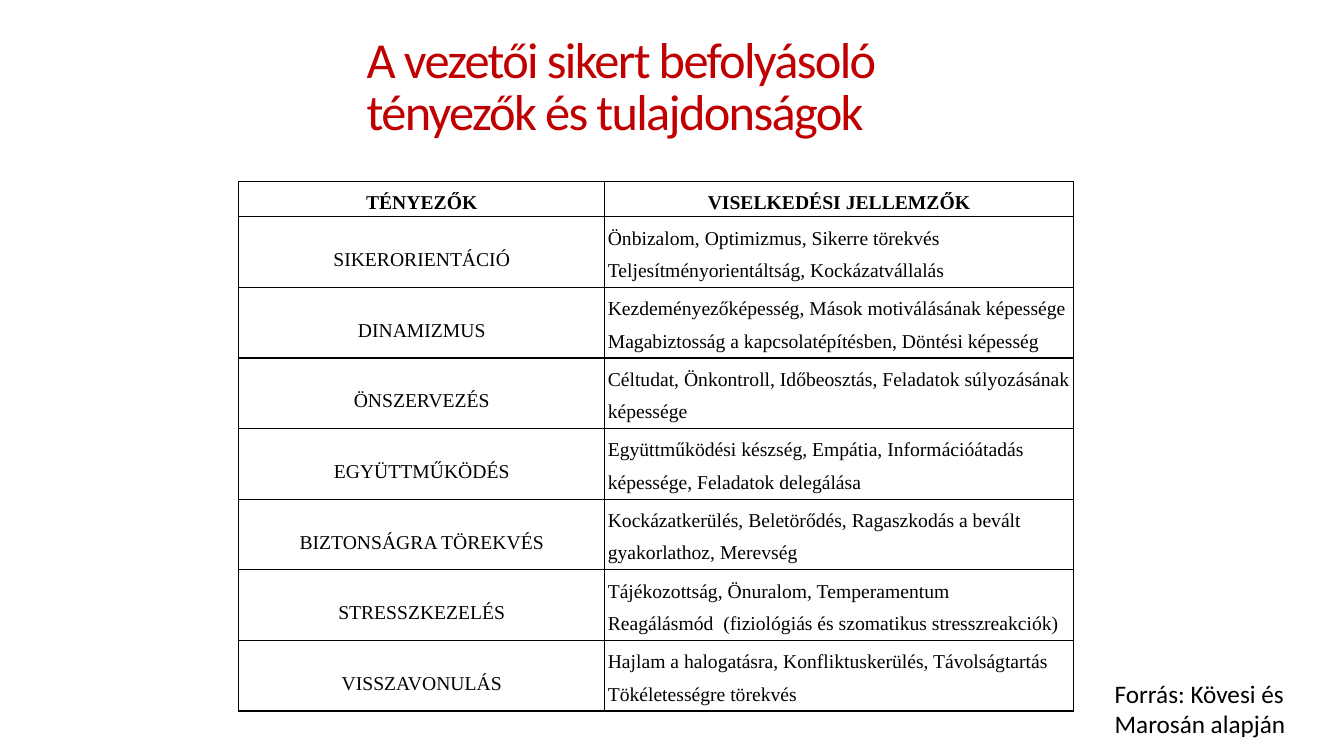
from lxml.etree import SubElement
from pptx import Presentation
from pptx.dml.color import RGBColor
from pptx.enum.text import MSO_ANCHOR as Anchor, PP_ALIGN as Align
from pptx.oxml.ns import qn
from pptx.util import Pt

# Content
TITLE = "A vezetői sikert befolyásoló tényezők és tulajdonságok"
SOURCE = "Forrás: Kövesi és Marosán alapján"
HEADERS = ("TÉNYEZŐK", "VISELKEDÉSI JELLEMZŐK")
FACTORS = [
    ("SIKERORIENTÁCIÓ", ["Önbizalom, Optimizmus, Sikerre törekvés",
                         "Teljesítményorientáltság, Kockázatvállalás"]),
    ("DINAMIZMUS", ["Kezdeményezőképesség, Mások motiválásának képessége",
                    "Magabiztosság a kapcsolatépítésben, Döntési képesség"]),
    ("ÖNSZERVEZÉS", ["Céltudat, Önkontroll, Időbeosztás, Feladatok súlyozásának képessége"]),
    ("EGYÜTTMŰKÖDÉS", ["Együttműködési készség, Empátia, Információátadás képessége, "
                       "Feladatok delegálása"]),
    ("BIZTONSÁGRA TÖREKVÉS", ["Kockázatkerülés, Beletörődés, Ragaszkodás a bevált "
                              "gyakorlathoz, Merevség"]),
    ("STRESSZKEZELÉS", ["Tájékozottság, Önuralom, Temperamentum",
                        "Reagálásmód  (fiziológiás és szomatikus stresszreakciók)"]),
    ("VISSZAVONULÁS", ["Hajlam a halogatásra, Konfliktuskerülés, Távolságtartás",
                       "Tökéletességre törekvés"]),
]

# Layout in points
TITLE_BOX = (254.9, 7.9, 501.8, 111.6)
SOURCE_BOX = (789.1, 481, 138.2, 51.1)
TABLE_LEFT, TABLE_TOP = 170.6, 129.6
COLUMN_WIDTHS = (261.4, 334.8)
HEADER_HEIGHT, ROW_HEIGHT, TALL_ROW_HEIGHT = 20, 40, 50
TALL_ROWS = {"SIKERORIENTÁCIÓ", "STRESSZKEZELÉS"}
CELL_MARGIN, FACTOR_DROP = 2.2, 15.5
BLACK, RED = "000000", "C00000"


def color(value):
    return RGBColor.from_string(value)


def write(frame, lines, size=14, font="Times New Roman", fill=BLACK, bold=False,
          align=Align.LEFT, line_spacing=1.0, tracking=None):
    frame.word_wrap = True
    for index, line in enumerate(lines):
        paragraph = frame.add_paragraph() if index else frame.paragraphs[0]
        paragraph.alignment = align
        paragraph.line_spacing = line_spacing
        run = paragraph.add_run()
        run.text = line
        run.font.size, run.font.name, run.font.bold = Pt(size), font, bold
        run.font.color.rgb = color(fill)
        if tracking is not None:
            run.font._element.set("spc", str(round(tracking * 100)))


def add_text(box, text, anchor=Anchor.TOP, **style):
    frame = slide.shapes.add_textbox(*map(Pt, box)).text_frame
    frame.vertical_anchor = anchor
    write(frame, [text], font="Calibri", **style)


def add_borders(cell):
    properties = cell._tc.get_or_add_tcPr()
    for side in ("lnL", "lnR", "lnT", "lnB"):
        line = SubElement(properties, qn(f"a:{side}"), w=str(Pt(1)))
        SubElement(SubElement(line, qn("a:solidFill")), qn("a:srgbClr"), val=BLACK)


def fill_cell(cell, lines, drop=0, **style):
    cell.margin_left = cell.margin_right = Pt(CELL_MARGIN)
    cell.margin_top, cell.margin_bottom = Pt(drop), 0
    add_borders(cell)
    cell.fill.background()
    write(cell.text_frame, lines, line_spacing=1.5, **style)


presentation = Presentation()
presentation.slide_width, presentation.slide_height = Pt(960), Pt(540)
slide = presentation.slides.add_slide(presentation.slide_layouts[6])

# Title
add_text(TITLE_BOX, TITLE, anchor=Anchor.MIDDLE, size=36, fill=RED,
         line_spacing=0.85, tracking=-1.2)

# Table of factors
heights = [HEADER_HEIGHT] + [TALL_ROW_HEIGHT if name in TALL_ROWS else ROW_HEIGHT
                             for name, _ in FACTORS]
table = slide.shapes.add_table(len(heights), len(COLUMN_WIDTHS), Pt(TABLE_LEFT), Pt(TABLE_TOP),
                               Pt(sum(COLUMN_WIDTHS)), Pt(sum(heights))).table
table.first_row = table.horz_banding = False
for column, width in zip(table.columns, COLUMN_WIDTHS):
    column.width = Pt(width)
for row, height in zip(table.rows, heights):
    row.height = Pt(height)
for index, header in enumerate(HEADERS):
    fill_cell(table.cell(0, index), [header], bold=True, align=Align.CENTER)
for index, (name, traits) in enumerate(FACTORS, start=1):
    fill_cell(table.cell(index, 0), [name], drop=FACTOR_DROP, align=Align.CENTER)
    fill_cell(table.cell(index, 1), traits)

# Source note
add_text(SOURCE_BOX, SOURCE, size=18)

presentation.save("out.pptx")
